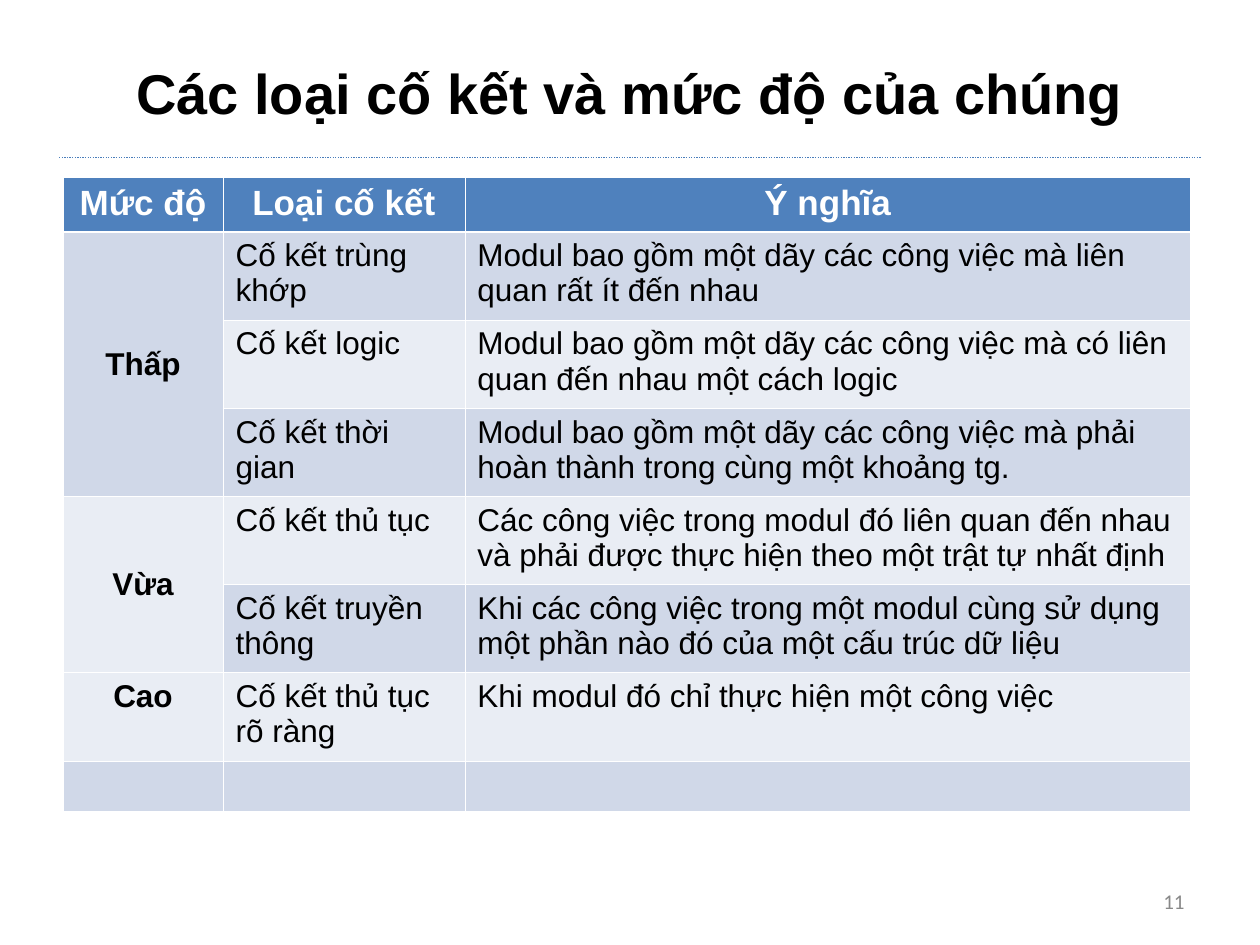
from lxml import etree
from pptx import Presentation
from pptx import util as u
from pptx.dml.color import RGBColor
from pptx.enum import dml, shapes, text
from pptx.oxml import ns

PX = 9144  # 100 px to the inch
BLACK = RGBColor(0x00, 0x00, 0x00)
WHITE = RGBColor(0xFF, 0xFF, 0xFF)
GREY = RGBColor(0x89, 0x89, 0x89)
RULE_BLUE = RGBColor(0x4A, 0x7E, 0xBB)
HEADER_BLUE = RGBColor(0x4F, 0x81, 0xBD)
BANDS = [RGBColor(0xE9, 0xED, 0xF4), RGBColor(0xD0, 0xD8, 0xE8)]

THIN, THICK = 0.45, 1.47
COLUMNS = [127, 192, 576]
ROWS = [43] + [70] * 6 + [40]
CONTENT = [
    ("Mức độ", "Loại cố kết", "Ý nghĩa"),
    ("Thấp", "Cố kết trùng khớp",
     "Modul bao gồm một dãy các công việc mà liên quan rất ít đến nhau"),
    ("", "Cố kết logic",
     "Modul bao gồm một dãy các công việc mà có liên quan đến nhau một cách logic"),
    ("", "Cố kết thời gian",
     "Modul bao gồm một dãy các công việc mà phải hoàn thành trong cùng một khoảng tg."),
    ("Vừa", "Cố kết thủ tục",
     "Các công việc trong modul đó liên quan đến nhau và phải được thực hiện theo một trật tự nhất định"),
    ("", "Cố kết truyền thông",
     "Khi các công việc trong một modul cùng sử dụng một phần nào đó của một cấu trúc dữ liệu"),
    ("Cao", "Cố kết thủ tục rõ ràng", "Khi modul đó chỉ thực hiện một công việc"),
    ("", "", ""),
]
MERGED_LEVELS = [(1, 3), (4, 5)]  # first and last row of each level


def style(paragraph, size, color, bold=False, align=text.PP_ALIGN.LEFT, name="Arial"):
    paragraph.alignment = align
    font = paragraph.font
    font.name, font.size, font.bold = name, u.Pt(size), bold
    font.color.rgb = color


def add_border(cell, side, points):
    line = etree.SubElement(cell._tc.get_or_add_tcPr(), ns.qn(f"a:ln{side}"),
                            w=str(int(u.Pt(points))))
    fill = etree.SubElement(line, ns.qn("a:solidFill"))
    etree.SubElement(fill, ns.qn("a:srgbClr"), val=str(WHITE))


prs = Presentation()
prs.slide_width, prs.slide_height = 1000 * PX, 750 * PX
slide = prs.slides.add_slide(prs.slide_layouts[5])

# Dotted rule under the title
rule = slide.shapes.add_connector(shapes.MSO_CONNECTOR.STRAIGHT,
                                  47 * PX, 125 * PX, 953 * PX, 125 * PX)
rule.line.color.rgb = RULE_BLUE
rule.line.width = u.Pt(0.75)
rule.line.dash_style = dml.MSO_LINE.ROUND_DOT
etree.SubElement(rule._element.spPr, ns.qn("a:effectLst"))

# Title
title = slide.shapes.title
title.left, title.top, title.width, title.height = 50 * PX, 30 * PX, 900 * PX, 87 * PX
title.text_frame.text = "Các loại cố kết và mức độ của chúng"
title.text_frame.vertical_anchor = text.MSO_ANCHOR.MIDDLE
style(title.text_frame.paragraphs[0], 32, BLACK, True, text.PP_ALIGN.CENTER)

# Table of cohesion types
cohesion = slide.shapes.add_table(len(ROWS), len(COLUMNS), 50 * PX, 141 * PX,
                                  sum(COLUMNS) * PX, sum(ROWS) * PX).table
for column, width in zip(cohesion.columns, COLUMNS):
    column.width = width * PX
for row, height in zip(cohesion.rows, ROWS):
    row.height = height * PX

for r, row_texts in enumerate(CONTENT):
    header = r == 0
    for c, words in enumerate(row_texts):
        cell = cohesion.cell(r, c)
        add_border(cell, "L", THIN)
        add_border(cell, "R", THIN)
        add_border(cell, "T", THICK if r == 1 else THIN)
        add_border(cell, "B", THICK if header else THIN)
        cell.fill.solid()
        cell.fill.fore_color.rgb = HEADER_BLUE if header else BANDS[r % 2]
        cell.text = words
        emphasis = header or c == 0
        style(cell.text_frame.paragraphs[0], 20 if header else 18,
              WHITE if header else BLACK, emphasis,
              text.PP_ALIGN.CENTER if emphasis else text.PP_ALIGN.LEFT)

for first, last in MERGED_LEVELS:
    level = cohesion.cell(first, 0)
    level.merge(cohesion.cell(last, 0))
    level.vertical_anchor = text.MSO_ANCHOR.MIDDLE

# Page number
page = slide.shapes.add_textbox(717 * PX, 695 * PX, 233 * PX, 40 * PX).text_frame
page.word_wrap = True
page.vertical_anchor = text.MSO_ANCHOR.MIDDLE
page.text = "11"
style(page.paragraphs[0], 12, GREY, align=text.PP_ALIGN.RIGHT, name="Calibri")

prs.save("out.pptx")
